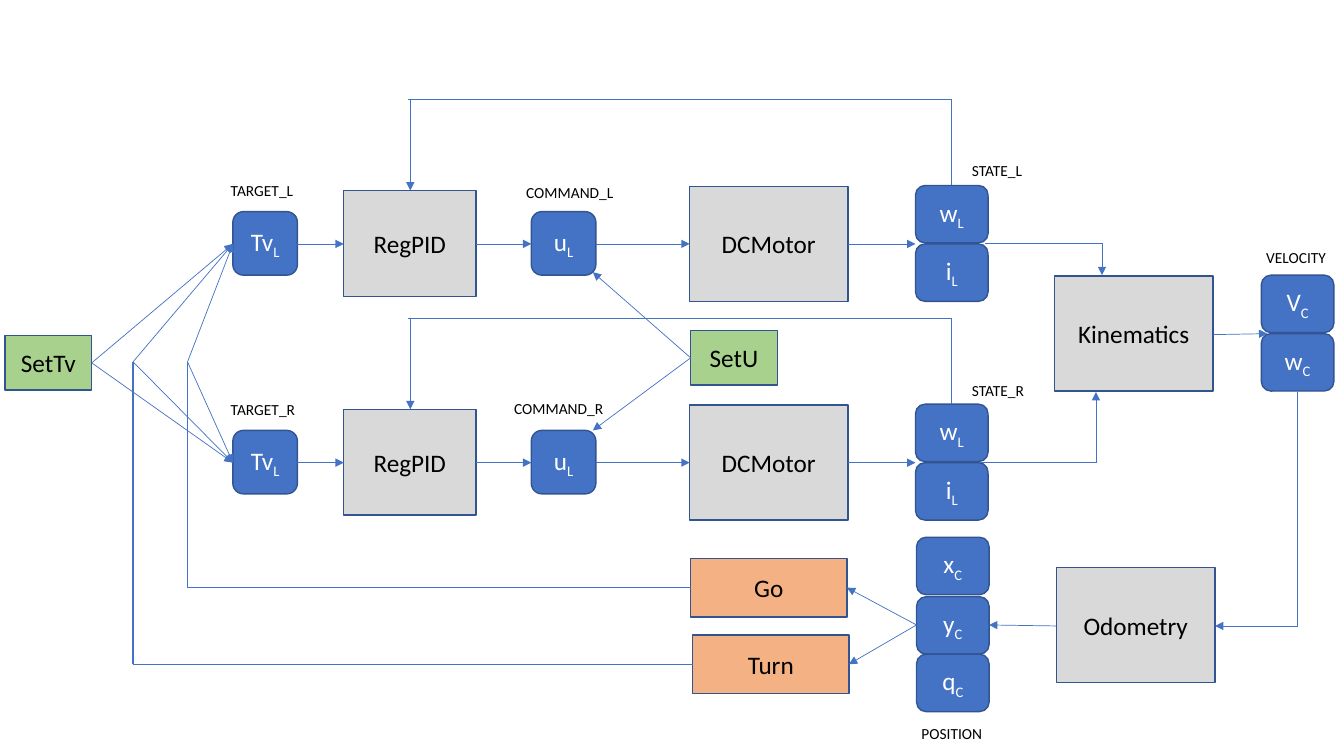
from itertools import pairwise

from pptx import Presentation, util as u
from pptx.dml.color import RGBColor
from pptx.enum import shapes, text
from pptx.oxml.ns import qn
from lxml import etree

BLUE, EDGE, GREY = "4472C4", "325491", "D9D9D9"
GREEN, ORANGE, BLACK, WHITE = "A9D18E", "F4B183", "000000", "FFFFFF"
RECT = shapes.MSO_SHAPE.RECTANGLE
ROUND = shapes.MSO_SHAPE.ROUNDED_RECTANGLE

prs = Presentation()
prs.slide_width, prs.slide_height = u.Inches(13.33), u.Inches(7.5)
s = prs.slides.add_slide(prs.slide_layouts[6])


def box(label, x, y, w, h, fill=None):
    """Draw a block, a signal (blue, "name_index") or a plain caption (no fill)."""
    at = [u.Inches(v) for v in (x, y, w, h)]
    if fill:
        sp = s.shapes.add_shape(ROUND if fill == BLUE else RECT, *at)
        sp.shadow.inherit = False
        sp.fill.solid()
        sp.fill.fore_color.rgb = RGBColor.from_string(fill)
        sp.line.color.rgb = RGBColor.from_string(EDGE)
        sp.line.width = u.Pt(1)
    else:
        sp = s.shapes.add_textbox(*at)
    tf = sp.text_frame
    tf.word_wrap = bool(fill)
    p = tf.paragraphs[0]
    p.font.name = "Calibri"
    p.font.size = u.Pt(18 if fill else 11)
    p.font.color.rgb = RGBColor.from_string(WHITE if fill == BLUE else BLACK)
    if fill:
        tf.vertical_anchor = text.MSO_ANCHOR.MIDDLE
        p.alignment = text.PP_ALIGN.CENTER
    parts = label.split("_") if fill == BLUE else [label]
    for i, part in enumerate(parts):
        r = p.add_run()
        r.text = part
        if i:
            r.font._element.set("baseline", "-25000")


def wire(*points, arrow=True, width=0.5):
    """Join the points with straight lines; the last one may carry an arrowhead."""
    legs = list(pairwise(points))
    for i, (a, b) in enumerate(legs):
        c = s.shapes.add_connector(shapes.MSO_CONNECTOR.STRAIGHT,
                                   *[u.Inches(v) for v in (*a, *b)])
        c.line.color.rgb = RGBColor.from_string(BLUE)
        c.line.width = u.Pt(width)
        if arrow and i == len(legs) - 1:
            etree.SubElement(c.line._get_or_add_ln(), qn("a:tailEnd"), type="triangle")
        etree.SubElement(c._element.spPr, qn("a:effectLst"))


# Grid: columns, the axes of the two wheels, and the block sizes
TARGET, PID, COMMAND, MOTOR, STATE = 2.31, 3.41, 5.27, 6.84, 9.08
KINEMATICS, VELOCITY = 10.46, 12.51
LEFT, RIGHT, ODOMETRY = 2.42, 4.59, 6.21
SIGNAL, CELL, BIG = (0.64, 0.63), (0.72, 0.57), (1.57, 1.14)
PID_SIZE, SET, ACTION = (1.31, 1.05), (0.86, 0.54), (1.55, 0.58)

# Control loops of the left and right wheels
for axis in (LEFT, RIGHT):
    box("Tv_L", TARGET, axis - 0.32, *SIGNAL, BLUE)
    box("RegPID", PID, axis - 0.53, *PID_SIZE, GREY)
    box("u_L", COMMAND, axis - 0.32, *SIGNAL, BLUE)
    box("DCMotor", MOTOR, axis - 0.57, *BIG, GREY)
    box("w_L", STATE, axis - 0.58, *CELL, BLUE)
    box("i_L", STATE, axis, *CELL, BLUE)
    for start, end in ((TARGET + 0.64, PID), (PID + 1.31, COMMAND),
                       (COMMAND + 0.64, MOTOR), (MOTOR + 1.57, STATE)):
        wire((start, axis), (end, axis))
    top = axis - 1.43
    wire((9.44, axis - 0.58), (9.44, top), (4.05, top), arrow=False)
    wire((4.07, top), (4.07, axis - 0.53))

# Kinematics, velocity, odometry and position
box("Kinematics", KINEMATICS, 2.74, *BIG, GREY)
box("V_C", VELOCITY, 2.73, *CELL, BLUE)
box("w_C", VELOCITY, 3.31, *CELL, BLUE)
box("Odometry", KINEMATICS + 0.02, 5.63, *BIG, GREY)
for name, y in (("x_C", 5.33), ("y_C", 5.92), ("q_C", 6.49)):
    box(name, 9.09, y, *CELL, BLUE)
wire((9.77, 2.41), (10.93, 2.41), (10.93, 2.73))
wire((9.71, RIGHT), (10.87, RIGHT), (10.87, 3.89))
wire((12.03, 3.32), (12.57, 3.31))
wire((12.87, 3.89), (12.87, ODOMETRY), (12.05, ODOMETRY))
wire((10.48, ODOMETRY), (9.81, 6.2))

# Go and Turn, fed by the position and routed back to the targets
for name, x, y, bend in (("Go", 6.85, 5.54, 1.86), ("Turn", 6.87, 6.3, 1.32)):
    mid = y + 0.29
    box(name, x, y, *ACTION, ORANGE)
    wire((9.09, 6.2), (x + 1.55, mid))
    wire((x, mid), (bend, mid), (bend, 3.59), arrow=False, width=1)
    for axis in (LEFT, RIGHT):
        wire((bend, 3.59), (TARGET, axis))

# Manual inputs
box("SetTv", 0.05, 3.33, *SET, GREEN)
box("SetU", 6.85, 3.28, *SET, GREEN)
for axis, command_edge in ((LEFT, 2.7), (RIGHT, 4.27)):
    wire((0.91, 3.6), (TARGET, axis))
    wire((6.85, 3.55), (5.88, command_edge))

# Captions
for caption, x, y, w in (
    ("TARGET_L", 2.19, 1.75, 0.84), ("TARGET_R", 2.19, 3.92, 0.86),
    ("COMMAND_L", 5.12, 1.77, 1.07), ("COMMAND_R", 5, 3.91, 1.09),
    ("STATE_L", 9.54, 1.55, 0.73), ("STATE_R", 9.54, 3.73, 0.75),
    ("VELOCITY", 12.46, 2.41, 0.8), ("POSITION", 9.04, 7.13, 0.81),
):
    box(caption, x, y, w, 0.29)

prs.save("out.pptx")
